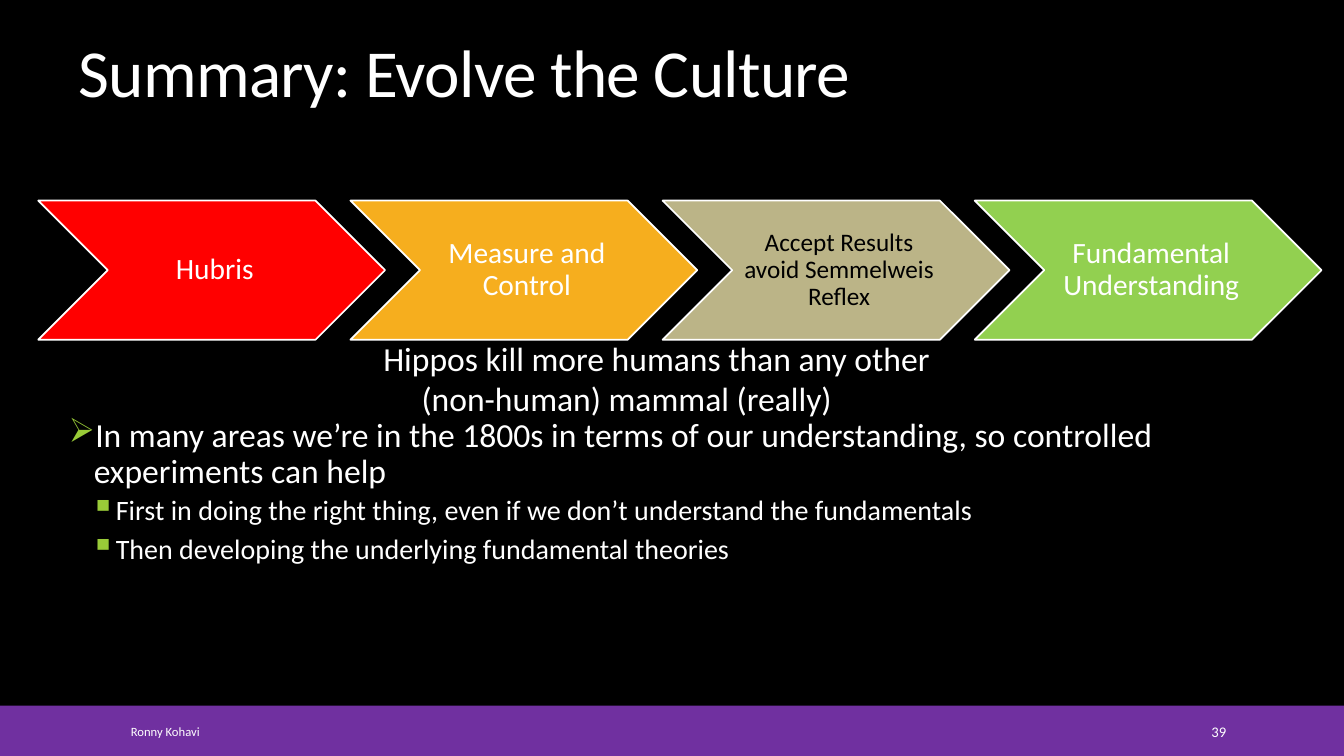
from lxml import etree
from pptx import Presentation
from pptx.dml.color import RGBColor
from pptx.enum.shapes import MSO_SHAPE
from pptx.enum.text import MSO_ANCHOR, PP_ALIGN
from pptx.oxml.ns import qn
from pptx.util import Inches, Pt

RECT, CHEVRON = MSO_SHAPE.RECTANGLE, MSO_SHAPE.CHEVRON
TOP, MIDDLE, BOTTOM = MSO_ANCHOR.TOP, MSO_ANCHOR.MIDDLE, MSO_ANCHOR.BOTTOM
LEFT, CENTER, RIGHT = PP_ALIGN.LEFT, PP_ALIGN.CENTER, PP_ALIGN.RIGHT
BLACK = RGBColor(0x00, 0x00, 0x00)
WHITE = RGBColor(0xFF, 0xFF, 0xFF)
PURPLE = RGBColor(0x70, 0x30, 0xA0)
RED = RGBColor(0xFF, 0x00, 0x00)
ORANGE = RGBColor(0xF6, 0xAE, 0x1E)
KHAKI = RGBColor(0xBB, 0xB4, 0x87)
GREEN = RGBColor(0x92, 0xD0, 0x50)
BULLET = "99CB38"
WIDTH, HEIGHT = 13.33, 7.5
MARGIN, CONTENT = 0.68, 12.28
FOOTER = HEIGHT / 15


def add_run(p, text, size, color=WHITE):
    r = p.add_run()
    r.text = text
    r.font.name = "Calibri"
    r.font.size = Pt(size)
    r.font.color.rgb = color
    return r


def add_box(left, top, width, height, anchor=TOP):
    tf = s.shapes.add_textbox(Inches(left), Inches(top), Inches(width), Inches(height)).text_frame
    tf.word_wrap = True
    tf.vertical_anchor = anchor
    return tf


prs = Presentation()
prs.slide_width, prs.slide_height = Inches(WIDTH), Inches(HEIGHT)
s = prs.slides.add_slide(prs.slide_layouts[6])
s.background.fill.solid()
s.background.fill.fore_color.rgb = BLACK

bar = s.shapes.add_shape(RECT, 0, Inches(HEIGHT - FOOTER), prs.slide_width, Inches(FOOTER))
bar.shadow.inherit = False
bar.fill.solid()
bar.fill.fore_color.rgb = PURPLE
bar.line.fill.background()

p = add_box(MARGIN, 0.31, CONTENT, 0.84, BOTTOM).paragraphs[0]
p.line_spacing = 0.85
r = add_run(p, "Summary: Evolve the Culture", 48)
r.font._element.set("spc", "-50")

tf = add_box(MARGIN, 4.1, CONTENT, 1.96)
tf.margin_left = tf.margin_right = 0
points = [
    (0, "In many areas we’re in the 1800s in terms of our understanding, so controlled experiments can help"),
    (1, "First in doing the right thing, even if we don’t understand the fundamentals"),
    (1, "Then developing the underlying fundamental theories"),
]
levels = [(0.25, -0.25, 0, 2, "➢", 100, 24), (0.42, -0.2, 2, 4, "▪", 120, 20)]
for i, (level, text) in enumerate(points):
    margin, indent, before, after, mark, mark_size, size = levels[level]
    p = tf.add_paragraph() if i else tf.paragraphs[0]
    p.level = level
    p.line_spacing = 0.9
    p.space_before, p.space_after = Pt(before), Pt(after)
    pPr = p._p.get_or_add_pPr()
    pPr.set("marL", str(Inches(margin)))
    pPr.set("indent", str(Inches(indent)))
    color = etree.SubElement(pPr, qn("a:buClr"))
    etree.SubElement(color, qn("a:srgbClr")).set("val", BULLET)
    etree.SubElement(pPr, qn("a:buSzPct")).set("val", str(mark_size * 1000))
    etree.SubElement(pPr, qn("a:buChar")).set("char", mark)
    add_run(p, text, size)

for left, width, align, text, size in [
    (1.2, 2.7, LEFT, "Ronny Kohavi", 9),
    (10.83, 1.43, RIGHT, "39", 10.5),
]:
    p = add_box(left, 7.06, width, 0.4, MIDDLE).paragraphs[0]
    p.alignment = align
    add_run(p, text, size)

stages = [
    ("Hubris", RED, 21, WHITE),
    ("Measure and Control", ORANGE, 21, WHITE),
    ("Accept Results avoid Semmelweis Reflex", KHAKI, 18, BLACK),
    ("Fundamental Understanding", GREEN, 21, WHITE),
]
STAGE_W, STAGE_H = 3.44, 1.38
for i, (text, fill, size, color) in enumerate(stages):
    left = 0.38 + i * 0.9 * STAGE_W
    sp = s.shapes.add_shape(CHEVRON, Inches(left), Inches(1.99), Inches(STAGE_W), Inches(STAGE_H))
    sp.shadow.inherit = False
    sp.fill.solid()
    sp.fill.fore_color.rgb = fill
    sp.line.color.rgb = WHITE
    sp.line.width = Pt(1.25)
    tf = sp.text_frame
    tf.word_wrap = True
    tf.vertical_anchor = MIDDLE
    tf.margin_left = Inches(0.09)
    tf.margin_top = tf.margin_right = tf.margin_bottom = Inches(0.03)
    p = tf.paragraphs[0]
    p.alignment = CENTER
    p.line_spacing = 0.9
    add_run(p, text, size, color)

p = add_box(WIDTH / 4, 3.3, WIDTH / 2, 0.91).paragraphs[0]
p.level = 1
pPr = p._p.get_or_add_pPr()
pPr.set("marL", str(Inches(0.75)))
pPr.set("indent", str(Inches(-0.38)))
add_run(p, "Hippos kill more humans than any other (non-human) mammal (really)", 24)

prs.save("out.pptx")
